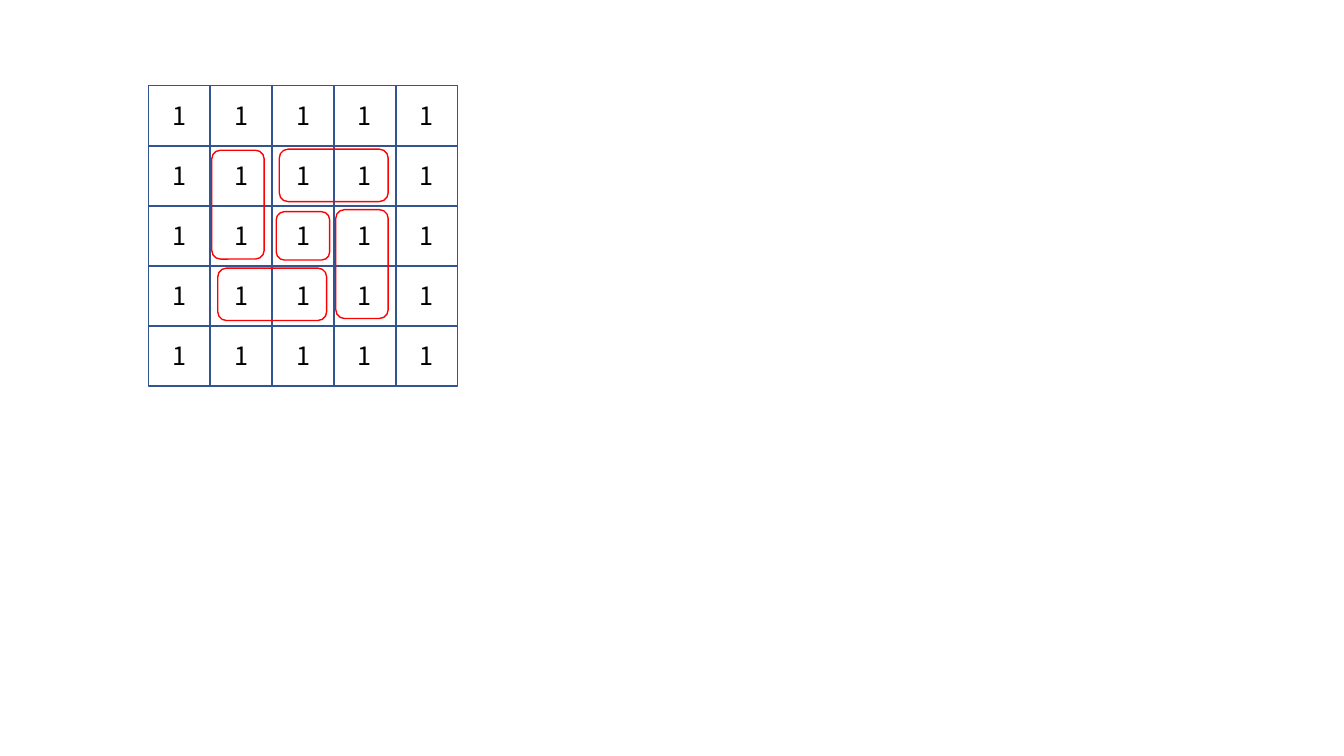
from pptx import Presentation
from pptx.dml.color import RGBColor
from pptx.enum import shapes, text
from pptx.util import Inches, Pt

BLACK = RGBColor(0x00, 0x00, 0x00)
GRID_BLUE = RGBColor(0x32, 0x54, 0x91)
RING_RED = RGBColor(0xFF, 0x00, 0x00)

GRID_SIZE = 5
FIRST_LEFT, LAST_LEFT = 1.47, 3.92
FIRST_TOP, LAST_TOP = 0.85, 3.23
CELL_WIDTH, CELL_HEIGHT = 0.62, 0.6
DIGIT_FORMAT = {"name": "Noto Sans CJK KR", "size": Pt(18)}

# left, top, width, height, rotation
RINGS = [
    (2.74, 2.1, 0.53, 0.48, 0),
    (2.77, 1.48, 1.08, 0.52, 0),
    (3.05, 2.36, 1.08, 0.52, 90),
    (1.82, 1.77, 1.08, 0.52, 90),
    (2.16, 2.66, 1.08, 0.52, 0),
]


def add_outline(slide, preset, box, color):
    """Add an unfilled preset shape; box is left, top, width, height in inches."""
    outline = slide.shapes.add_shape(preset, *map(Inches, box))
    outline.shadow.inherit = False
    outline.fill.background()
    outline.line.color.rgb = color
    outline.line.width = Pt(1)
    return outline


def add_cell(slide, row, column, digit):
    column_step = (LAST_LEFT - FIRST_LEFT) / (GRID_SIZE - 1)
    row_step = (LAST_TOP - FIRST_TOP) / (GRID_SIZE - 1)
    box = (FIRST_LEFT + column * column_step, FIRST_TOP + row * row_step,
           CELL_WIDTH, CELL_HEIGHT)
    cell = add_outline(slide, shapes.MSO_SHAPE.RECTANGLE, box, GRID_BLUE)
    cell.text_frame.vertical_anchor = text.MSO_ANCHOR.MIDDLE
    paragraph = cell.text_frame.paragraphs[0]
    paragraph.alignment = text.PP_ALIGN.CENTER
    run = paragraph.add_run()
    run.text = digit
    for attribute, value in DIGIT_FORMAT.items():
        setattr(run.font, attribute, value)
    run.font.color.rgb = BLACK


def add_ring(slide, *box, rotation):
    ring = add_outline(slide, shapes.MSO_SHAPE.ROUNDED_RECTANGLE, box, RING_RED)
    ring.rotation = rotation


def main():
    deck = Presentation()
    deck.slide_width, deck.slide_height = Inches(13.33), Inches(7.5)
    slide = deck.slides.add_slide(deck.slide_layouts[6])
    for row in range(GRID_SIZE):
        for column in range(GRID_SIZE):
            add_cell(slide, row, column, "1")
    for *box, rotation in RINGS:
        add_ring(slide, *box, rotation=rotation)
    deck.save("out.pptx")


if __name__ == "__main__":
    main()
